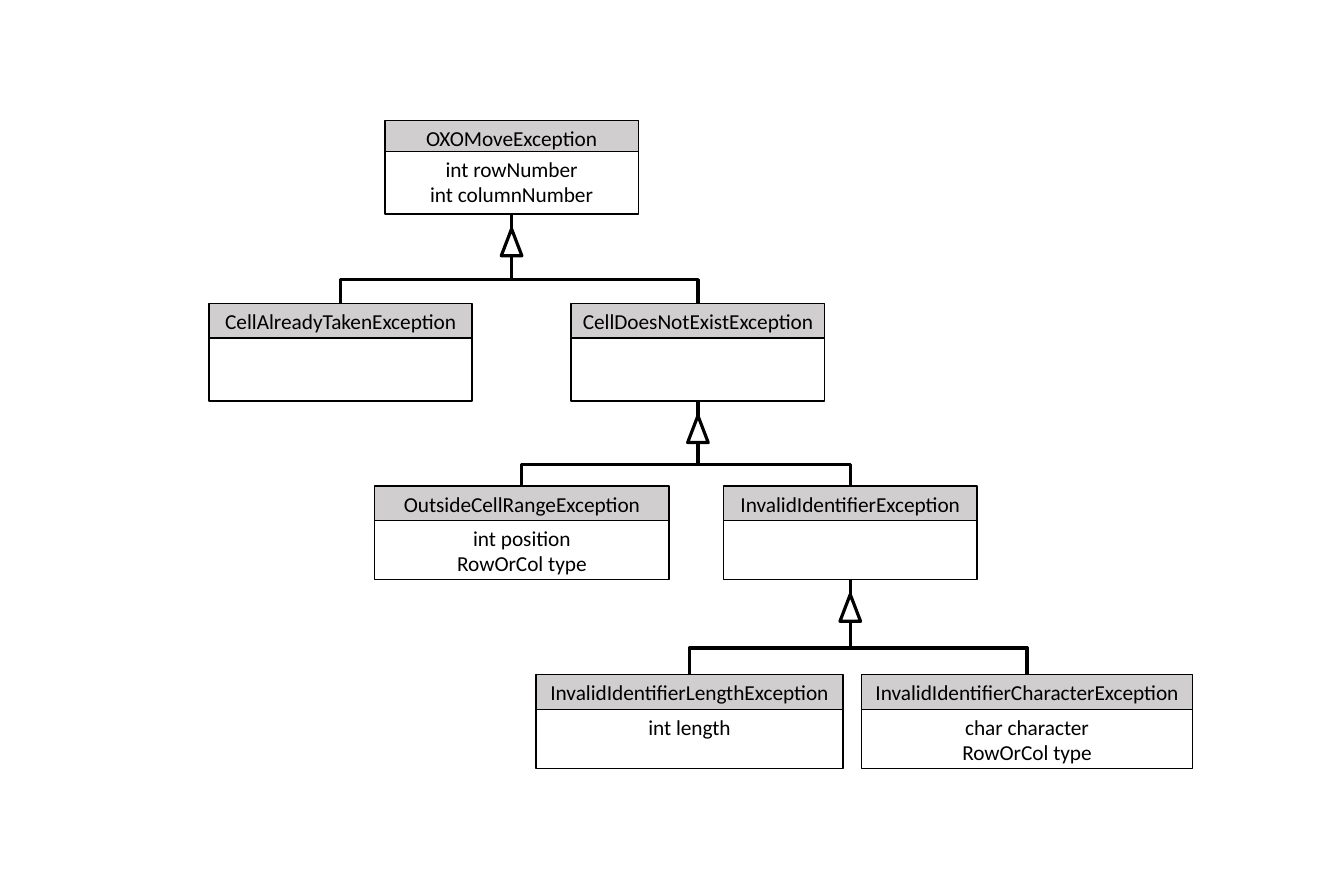
"""Draw the inheritance tree of the OXO move exceptions."""
from lxml import etree
from pptx import Presentation
from pptx import util as u
from pptx.dml.color import RGBColor
from pptx.enum import shapes, text
from pptx.oxml.ns import qn

BLACK, WHITE, GREY = "000000", "FFFFFF", "D0CECE"
LEVELS = [
    {"top": 2.69, "header": 0.69, "body": 1.4},
    {"top": 6.78, "header": 0.77, "body": 1.4},
    {"top": 10.85, "header": 0.77, "body": 1.32},
    {"top": 15.06, "header": 0.78, "body": 1.32},
]
CLASSES = [
    ("OXOMoveException", 0, 8.59, 5.66, ["int rowNumber", "int columnNumber"]),
    ("CellAlreadyTakenException", 1, 4.67, 5.87, []),
    ("CellDoesNotExistException", 1, 12.75, 5.66, []),
    ("OutsideCellRangeException", 2, 8.36, 6.58, ["int position", "RowOrCol type"]),
    ("InvalidIdentifierException", 2, 16.15, 5.66, []),
    ("InvalidIdentifierLengthException", 3, 11.96, 6.86, ["int length"]),
    ("InvalidIdentifierCharacterException", 3, 19.23, 7.39,
     ["char character", "RowOrCol type"]),
]
SUBCLASSES = {
    "OXOMoveException": ["CellDoesNotExistException", "CellAlreadyTakenException"],
    "CellDoesNotExistException": ["InvalidIdentifierException",
                                  "OutsideCellRangeException"],
    "InvalidIdentifierException": ["InvalidIdentifierCharacterException",
                                   "InvalidIdentifierLengthException"],
}
HEADER_HEIGHT = 0.78
STEM, HEAD_WIDTH, HEAD_HEIGHT = 0.33, 0.46, 0.6
FRAME = {"word_wrap": True, "margin_left": u.Cm(0.18), "margin_right": u.Cm(0.18),
         "margin_top": u.Cm(0.1), "margin_bottom": u.Cm(0.1)}
FONT = {"name": "Calibri", "size": u.Pt(13.5)}


def color(value):
    return RGBColor.from_string(value)


def apply(target, values):
    for name, value in values.items():
        setattr(target, name, value)


def outline(item, points):
    item.line.color.rgb = color(BLACK)
    item.line.width = u.Pt(points)


def add_shape(kind, left, top, width, height, fill, points):
    shape = slide.shapes.add_shape(kind, *map(u.Cm, (left, top, width, height)))
    shape.shadow.inherit = False
    shape.fill.solid()
    shape.fill.fore_color.rgb = color(fill)
    outline(shape, points)
    return shape


def add_box(left, top, width, height, fill, lines, anchor):
    box = add_shape(shapes.MSO_SHAPE.RECTANGLE, left, top, width, height, fill, 1)
    frame = box.text_frame
    apply(frame, {**FRAME, "vertical_anchor": anchor})
    for index, line in enumerate(lines):
        para = frame.add_paragraph() if index else frame.paragraphs[0]
        para.alignment = text.PP_ALIGN.CENTER
        span = para.add_run()
        span.text = line
        apply(span.font, FONT)
        span.font.color.rgb = color(BLACK)


def add_line(kind, *ends):
    line = slide.shapes.add_connector(kind, *map(u.Cm, ends))
    outline(line, 2)
    etree.SubElement(line._element.spPr, qn("a:effectLst"))
    return line


def add_branch(child_x, child_y, head_x, head_y):
    side = 1 if child_x > head_x else -1
    middle_x, middle_y = (child_x + head_x) / 2, (child_y + head_y) / 2
    rise, run = side * (child_y - head_y) / 2, abs(child_x - head_x) / 2
    branch = add_line(shapes.MSO_CONNECTOR.ELBOW, middle_x - rise, middle_y + run,
                      middle_x + rise, middle_y - run)
    branch._element.spPr.xfrm.set("rot", str((180 + side * 90) * 60000))


deck = Presentation()
deck.slide_width, deck.slide_height = u.Cm(30), u.Cm(20)
slide = deck.slides.add_slide(deck.slide_layouts[6])

places = {}
for name, level, left, width, fields in CLASSES:
    row = LEVELS[level]
    body_top = row["top"] + row["header"]
    add_box(left, row["top"], width, HEADER_HEIGHT, GREY, [name],
            text.MSO_ANCHOR.MIDDLE)
    add_box(left, body_top, width, row["body"], WHITE, fields, text.MSO_ANCHOR.TOP)
    places[name] = (left + width / 2, row["top"], body_top + row["body"])

for parent, children in SUBCLASSES.items():
    center, _, bottom = places[parent]
    head_top = bottom + STEM
    for child in children:
        add_branch(*places[child][:2], center, head_top + HEAD_HEIGHT)
    add_shape(shapes.MSO_SHAPE.ISOSCELES_TRIANGLE, center - HEAD_WIDTH / 2, head_top,
              HEAD_WIDTH, HEAD_HEIGHT, WHITE, 2)
    add_line(shapes.MSO_CONNECTOR.STRAIGHT, center, head_top, center, bottom)

deck.save("out.pptx")
